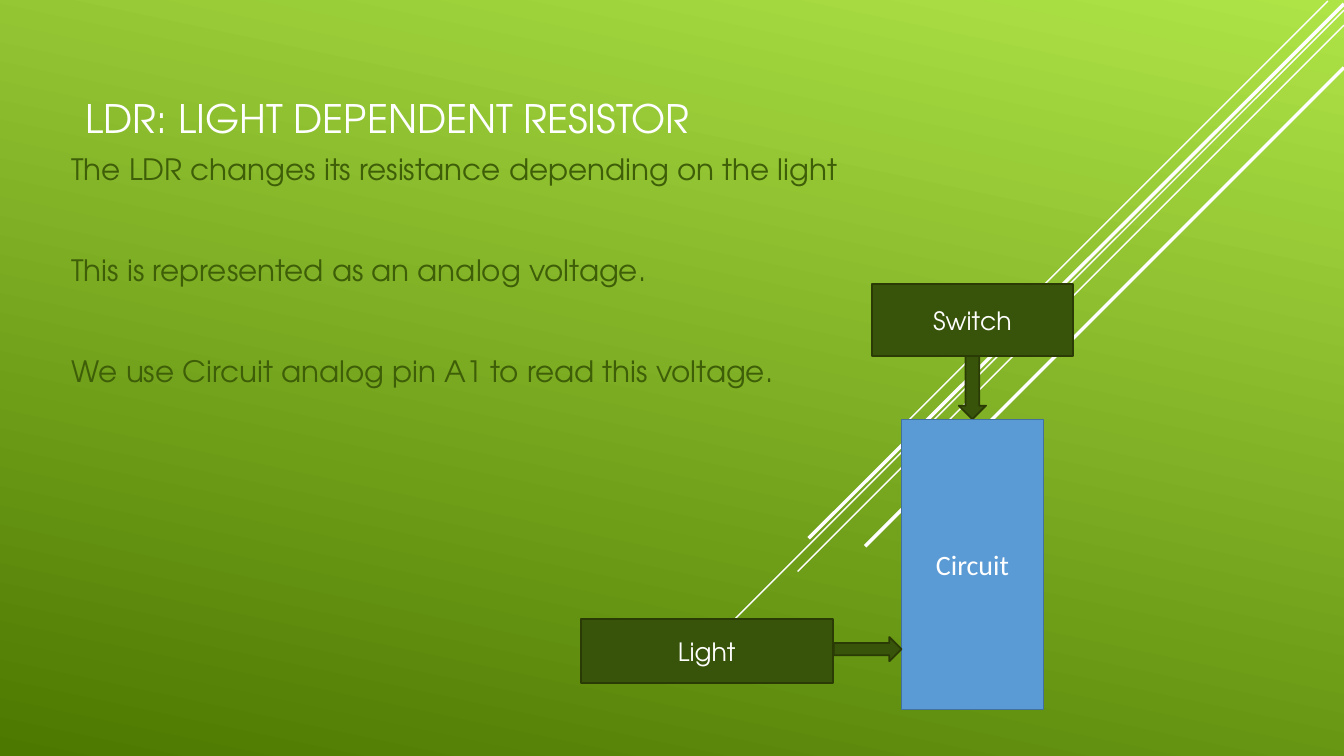
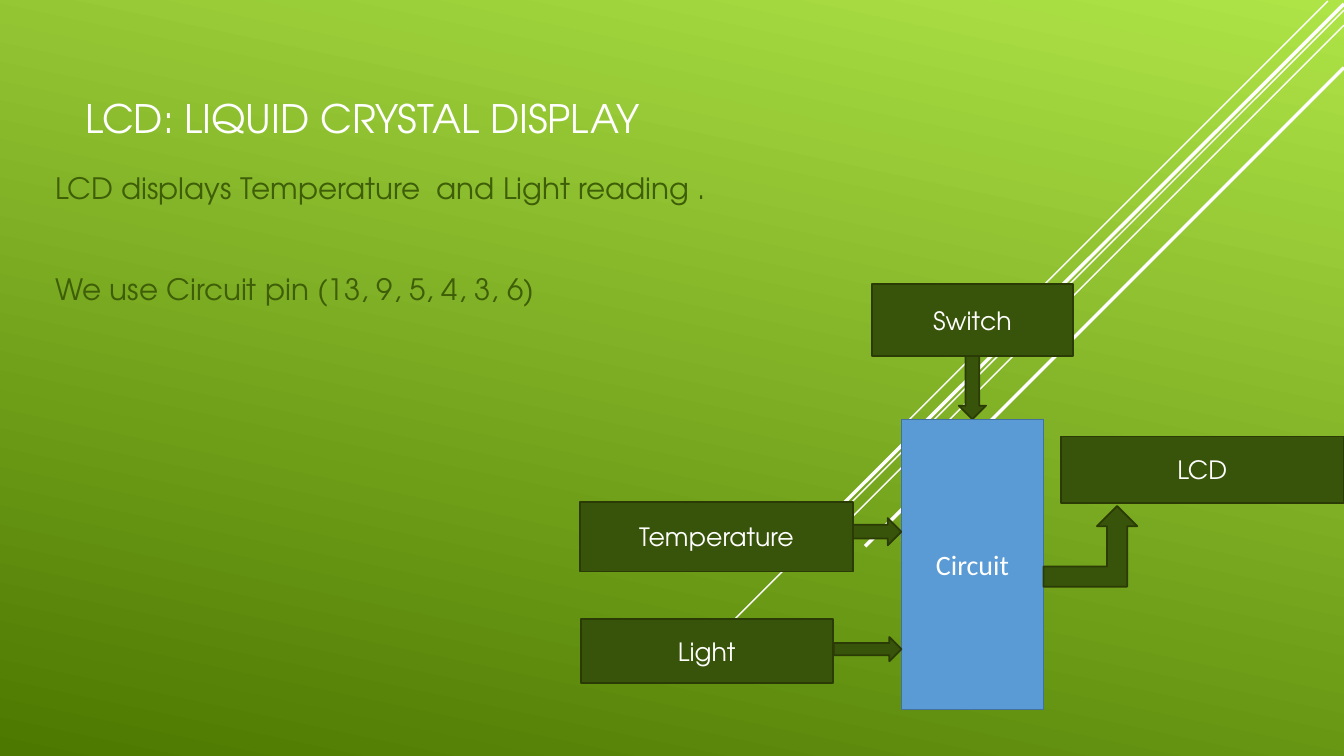
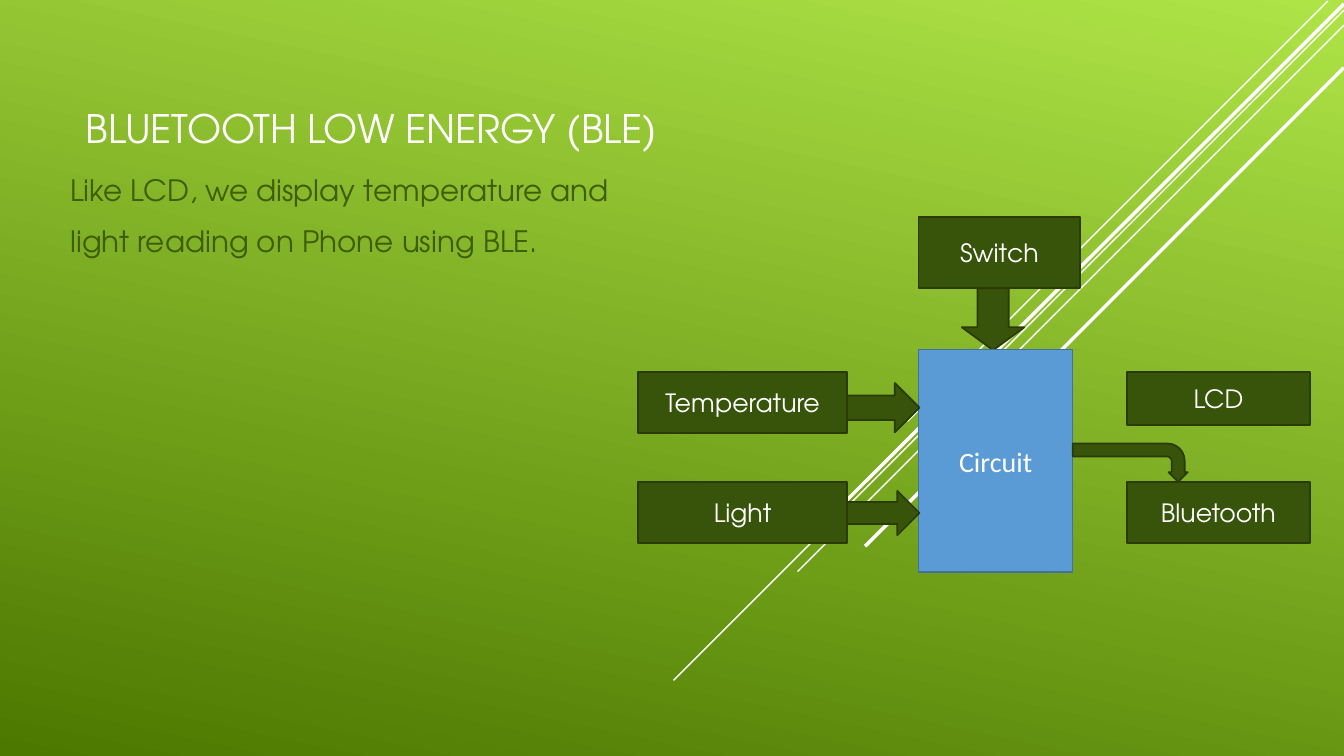
from dataclasses import dataclass

from lxml import etree
from pptx import Presentation
from pptx.dml.color import RGBColor
from pptx.enum.shapes import MSO_CONNECTOR, MSO_SHAPE
from pptx.enum.text import MSO_ANCHOR, MSO_AUTO_SIZE, PP_ALIGN
from pptx.oxml.ns import qn
from pptx.util import Inches, Pt

RECT = MSO_SHAPE.RECTANGLE
DOWN, RIGHT = MSO_SHAPE.DOWN_ARROW, MSO_SHAPE.RIGHT_ARROW
BENT_UP, BENT = MSO_SHAPE.BENT_UP_ARROW, MSO_SHAPE.BENT_ARROW
STRAIGHT = MSO_CONNECTOR.STRAIGHT
LEFT, CENTER = PP_ALIGN.LEFT, PP_ALIGN.CENTER
TOP, MIDDLE, BOTTOM = MSO_ANCHOR.TOP, MSO_ANCHOR.MIDDLE, MSO_ANCHOR.BOTTOM


@dataclass(frozen=True)
class Theme:
    white: str = "FFFFFF"
    sky: str = "AFE447"
    ground: str = "4C7800"
    body: str = "3E5E08"
    block: tuple = ("38540A", "2B3B05", 1.25)
    board: tuple = ("5B9BD5", "41719C", 1)
    font: str = "TeX Gyre Adventor"
    board_font: str = "Calibri"
    title_size: int = 28
    body_size: int = 21
    board_size: int = 20
    block_size: int = 18


T = Theme()
rgb = RGBColor.from_string

prs = Presentation()
prs.slide_width, prs.slide_height = Inches(13.33), Inches(7.5)
# The grid has 100 columns and 100 rows
COL, ROW = prs.slide_width / 100, prs.slide_height / 100


def grid(x, y, w, h):
    """Turn columns and rows into slide lengths."""
    return int(x * COL), int(y * ROW), int(w * COL), int(h * ROW)


def write(shape, lines, font, size, color, align, anchor, gap=0):
    """Fill a shape with paragraphs; gap is the space before all but the first."""
    tf = shape.text_frame
    tf.word_wrap = True
    tf.auto_size = MSO_AUTO_SIZE.NONE
    tf.vertical_anchor = anchor
    tf.text = "\n".join(lines)
    for i, p in enumerate(tf.paragraphs):
        p.alignment = align
        p.space_before = Pt(gap if i else 0)
        for r in p.runs:
            r.font.name, r.font.size = font, Pt(size)
            r.font.color.rgb = rgb(color)


# Shared background and diagonal lines
layout = prs.slide_layouts.get_by_name("Title Only")
fill = prs.slide_master.background.fill
fill.gradient()
fill.gradient_angle = 258
for stop, color, position in zip(fill.gradient_stops, (T.sky, T.ground), (0, 1)):
    stop.color.rgb, stop.position = rgb(color), position

DIAGONALS = [
    (98.8, 0.13, 67.52, 55.73, 1),
    (100, 1.33, 50.11, 90, 1),
    (100, 3.33, 59.34, 75.6, 1),
    (100, 0.53, 60.17, 71.2, 2.5),
    (100, 8.93, 64.37, 72.27, 2.5),
]
slides = [prs.slides.add_slide(layout) for _ in range(3)]
for i, (*ends, width) in enumerate(DIAGONALS):
    line = slides[0].shapes.add_connector(STRAIGHT, *grid(*ends))
    line.line.color.rgb, line.line.width = rgb(T.white), Pt(width)
    etree.SubElement(line.element.spPr, qn("a:effectLst"))
    line.element.nvCxnSpPr.cNvPr.id = 20 + i
    layout.shapes.element.insert(2 + i, line.element)

# Diagram blocks: shape, label, place, adjustments, rotation
TITLE_AT = (5.63, 3.33, 86.05, 16)
BOARD = "Circuit"
SWITCH_AND_LIGHT = [
    (DOWN, "", (71.34, 46.67, 2.03, 8.8), (), 0),
    (RECT, BOARD, (67.07, 55.47, 10.58, 38.4), (), 0),
    (RECT, "Switch", (64.89, 37.6, 14.93, 9.47), (), 0),
    (RECT, "Light", (43.21, 81.87, 18.75, 8.5), (), 0),
    (RIGHT, "", (62.04, 84.27, 5.03, 3.2), (), 0),
]
TEMPERATURE_AND_LCD = [
    (RIGHT, "", (62.19, 68.53, 4.88, 3.6), (), 0),
    (RECT, "Temperature", (43.14, 66.4, 20.33, 9.2), (), 0),
    (RECT, "LCD", (78.92, 57.73, 21.08, 8.8), (), 0),
    (BENT_UP, "", (77.64, 66.93, 6.98, 10.67), (), 0),
]
INPUT_X, INPUT_W, OUTPUT_X, OUTPUT_W = 47.49, 15.53, 83.87, 13.58
ARROW_X, ARROW_W = INPUT_X + INPUT_W, 5.4
UPPER, LOWER, BLOCK_H = 49.2, 63.73, 8.1
BLUETOOTH = [
    (DOWN, "", (71.57, 38.13, 4.65, 8.2), (0.5, 0.37), 0),
    (RECT, BOARD, (68.34, 46.27, 11.48, 29.4), (), 0),
    (RECT, "Switch", (68.34, 28.67, 12.04, 9.47), (), 0),
    (RECT, "Light", (INPUT_X, LOWER, INPUT_W, BLOCK_H), (), 0),
    (RIGHT, "", (ARROW_X, 64.93, ARROW_W, 5.87), (), 0),
    (RECT, "Temperature", (INPUT_X, UPPER, INPUT_W, BLOCK_H), (), 0),
    (RIGHT, "", (ARROW_X, 50.67, ARROW_W, 6.53), (), 0),
    (RECT, "LCD", (OUTPUT_X, UPPER, OUTPUT_W, 7), (), 0),
    (RECT, "Bluetooth", (OUTPUT_X, LOWER, OUTPUT_W, BLOCK_H), (), 0),
    (BENT, "", (82.67, 53.6, 2.85, 15.2), (0.34, 0.25, 0.25, 0.45), 90),
]

# Title, its place, body lines, their place, paragraph gap, diagram
CONTENT = [
    ("LDR: LIGHT DEPENDENT RESISTOR", TITLE_AT,
     ["The LDR changes its resistance depending on the light",
      "This is represented as an analog voltage.",
      f"We use {BOARD} analog pin A1 to read this voltage."],
     (4.58, 19.33, 86.05, 61.47), 41, SWITCH_AND_LIGHT),
    ("LCD: LIQUID CRYSTAL DISPLAY", TITLE_AT,
     ["LCD displays Temperature  and Light reading .",
      f"We use {BOARD} pin (13, 9, 5, 4, 3, 6)"],
     (3.38, 21.87, 87.17, 58.93), 41, SWITCH_AND_LIGHT + TEMPERATURE_AND_LCD),
    ("BLUETOOTH LOW ENERGY (BLE)", (5.63, 10, 92.5, 10.67),
     ["Like LCD, we display temperature and",
      "light reading on Phone using BLE."],
     (4.5, 22.13, 94.37, 62.27), 5, BLUETOOTH),
]

for s, (heading, title_at, lines, body_at, gap, diagram) in zip(slides, CONTENT):
    title = s.shapes.title
    title.left, title.top, title.width, title.height = grid(*title_at)
    write(title, [heading], T.font, T.title_size, T.white, LEFT, BOTTOM)

    body = s.shapes.add_textbox(*grid(*body_at))
    write(body, lines, T.font, T.body_size, T.body, LEFT, TOP, gap)
    for p in body.text_frame.paragraphs:
        p.space_after = Pt(6)

    for kind, label, place, adjustments, rotation in diagram:
        is_board = label == BOARD
        face, edge, width = T.board if is_board else T.block
        sp = s.shapes.add_shape(kind, *grid(*place))
        sp.shadow.inherit = False
        sp.rotation = rotation
        sp.fill.solid()
        sp.fill.fore_color.rgb = rgb(face)
        sp.line.color.rgb, sp.line.width = rgb(edge), Pt(width)
        for i, value in enumerate(adjustments):
            sp.adjustments[i] = value
        if label:
            font = T.board_font if is_board else T.font
            size = T.board_size if is_board else T.block_size
            write(sp, [label], font, size, T.white, CENTER, MIDDLE)

prs.save("out.pptx")
